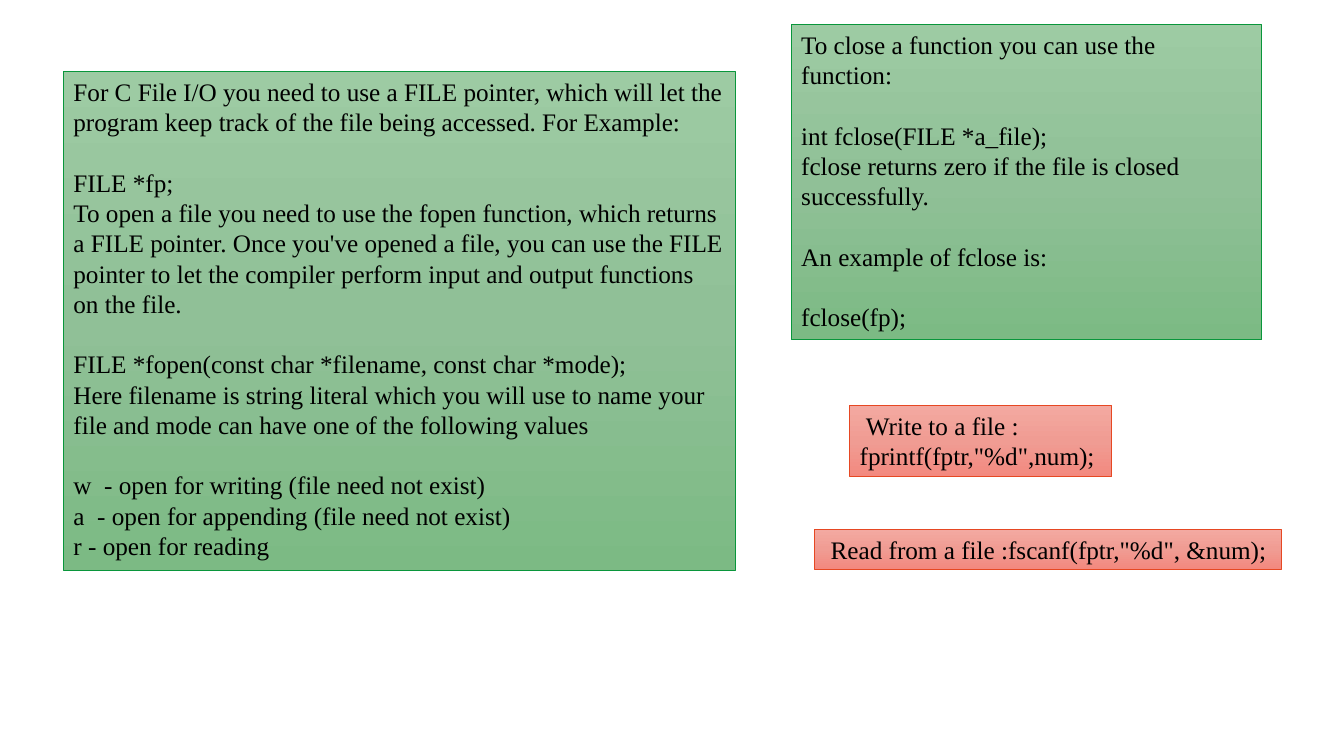
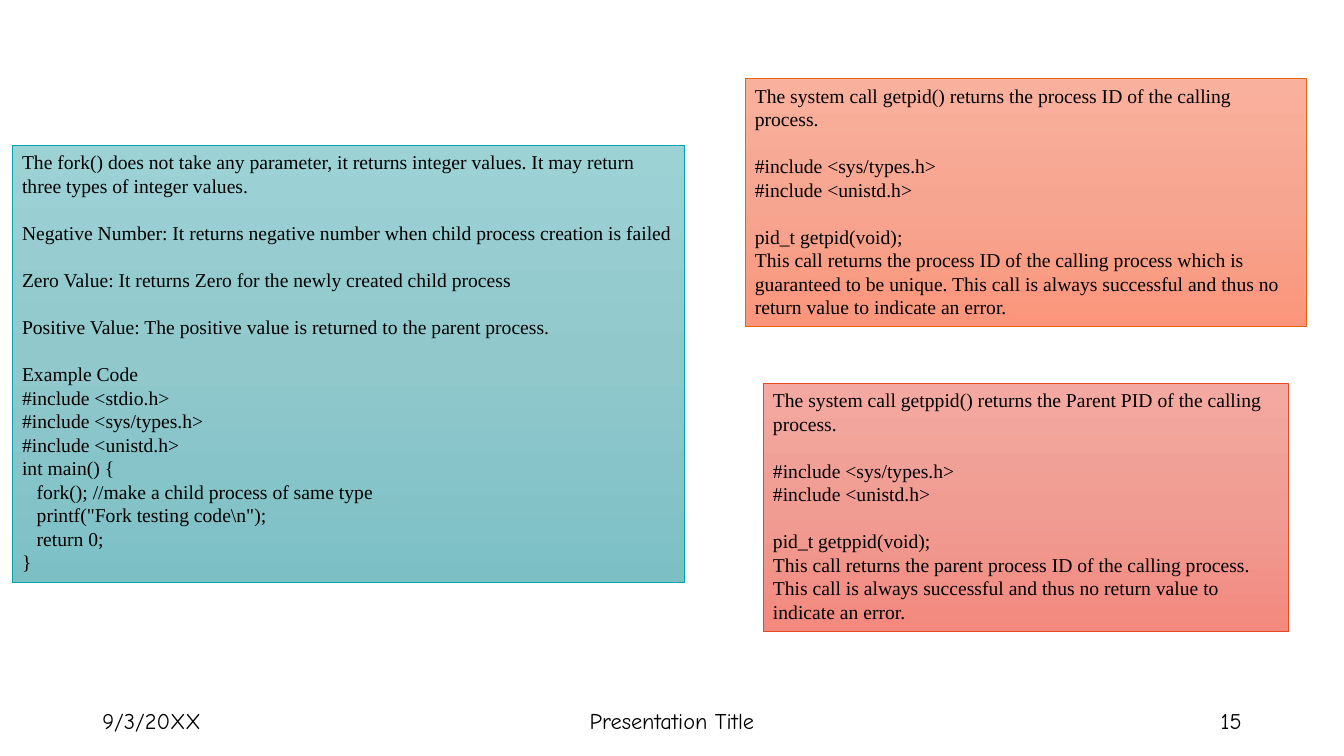
"""Build two slides of C notes: file input/output and process system calls."""
from copy import deepcopy
from dataclasses import dataclass

from pptx import Presentation
from pptx.dml.color import RGBColor
from pptx.enum.shapes import MSO_SHAPE
from pptx.enum.text import MSO_ANCHOR, MSO_AUTO_SIZE, PP_ALIGN
from pptx.oxml.ns import qn
from pptx.slide import Slide
from pptx.text.text import TextFrame
from pptx.util import Emu, Inches, Pt

WIDTH, HEIGHT = Inches(13.333), Inches(7.5)
COLS, ROWS = 160, 90
BODY_FONT, FOOTER_FONT = "Times New Roman", "Comic Neue"
FOOTER_SIZE = 16
LEADING = 1.2
SPACE = 0.25
COLORS = {
    "text": "000000",
    "green_top": "9DCBA3", "green_mid": "90C097", "green_end": "7CBA84", "green_line": "09963B",
    "red_top": "F3A9A1", "red_mid": "F09C93", "red_end": "F3897F", "red_line": "E64823",
    "teal_top": "9DD2D5", "teal_mid": "90C8CC", "teal_end": "7CC0C5", "teal_line": "00A5AB",
    "orange_top": "F9B19E", "orange_mid": "F6A590", "orange_end": "FB967C", "orange_line": "E4650E",
}


@dataclass(frozen=True)
class Area:
    col: float
    row: float
    cols: float
    rows: float

    def box(self) -> tuple[Emu, Emu, Emu, Emu]:
        return (Emu(int(self.col * WIDTH / COLS)), Emu(int(self.row * HEIGHT / ROWS)),
                Emu(int(self.cols * WIDTH / COLS)), Emu(int(self.rows * HEIGHT / ROWS)))


@dataclass(frozen=True)
class Panel:
    area: Area
    theme: str
    size: int
    text: str
    wrap: bool = True


@dataclass(frozen=True)
class Footer:
    area: Area
    text: str
    align: PP_ALIGN


def rgb(name: str) -> RGBColor:
    return RGBColor.from_string(COLORS[name])


def write_lines(tf: TextFrame, text: str, size: int) -> None:
    line_height = Pt(LEADING * size)
    p, gap = tf.paragraphs[0], False
    for i, line in enumerate(text.strip("\n").split("\n")):
        if not line:
            gap = True
            continue
        if i:
            p = tf.add_paragraph()
        words = line.lstrip()
        p.text = words
        p.alignment = PP_ALIGN.LEFT
        p.line_spacing = line_height
        p.font.name, p.font.size = BODY_FONT, Pt(size)
        p.font.color.rgb = rgb("text")
        if gap:
            p.space_before = line_height
        indent = len(line) - len(words)
        if indent:
            pPr = p._p.get_or_add_pPr()
            pPr.set("marL", str(Pt(indent * SPACE * size)))
            pPr.set("indent", "0")
        gap = False


def add_panel(s: Slide, panel: Panel) -> None:
    sp = s.shapes.add_shape(MSO_SHAPE.RECTANGLE, *panel.area.box())
    sp.shadow.inherit = False
    sp.fill.gradient()
    sp.fill.gradient_angle = 270
    stops = sp._element.spPr.find(".//" + qn("a:gsLst"))
    stops.insert(1, deepcopy(stops[0]))
    for stop, position, part in zip(sp.fill.gradient_stops, (0, 0.5, 1), ("top", "mid", "end")):
        stop.position = position
        stop.color.rgb = rgb(f"{panel.theme}_{part}")
    sp.line.color.rgb = rgb(f"{panel.theme}_line")
    sp.line.width = Pt(0.5)
    tf = sp.text_frame
    tf.word_wrap = panel.wrap
    tf.auto_size = MSO_AUTO_SIZE.SHAPE_TO_FIT_TEXT
    tf.vertical_anchor = MSO_ANCHOR.TOP
    write_lines(tf, panel.text, panel.size)


def add_footer(s: Slide, footer: Footer) -> None:
    tf = s.shapes.add_textbox(*footer.area.box()).text_frame
    tf.word_wrap = True
    tf.vertical_anchor = MSO_ANCHOR.MIDDLE
    p = tf.paragraphs[0]
    p.text, p.alignment = footer.text, footer.align
    p.font.name, p.font.size = FOOTER_FONT, Pt(FOOTER_SIZE)
    p.font.color.rgb = rgb("text")


def add_slide(prs: Presentation, panels: list[Panel], footers: list[Footer]) -> None:
    s = prs.slides.add_slide(prs.slide_layouts[6])
    for footer in footers:
        add_footer(s, footer)
    for panel in panels:
        add_panel(s, panel)


def pid_text(call: str, owner: str, result: str, details: str) -> str:
    return f"""
The system call {call}() returns the {owner} of the calling process.

#include <sys/types.h>
#include <unistd.h>

pid_t {call}(void);
This call returns the {result} of the calling process{details} This call is always successful and thus no return value to indicate an error.
"""


OPEN_TEXT = """
For C File I/O you need to use a FILE pointer, which will let the program keep track of the file being accessed. For Example:

FILE *fp;
To open a file you need to use the fopen function, which returns a FILE pointer. Once you've opened a file, you can use the FILE pointer to let the compiler perform input and output functions on the file.

FILE *fopen(const char *filename, const char *mode);
Here filename is string literal which you will use to name your file and mode can have one of the following values

w  - open for writing (file need not exist)
a  - open for appending (file need not exist)
r - open for reading
"""

CLOSE_TEXT = """
To close a function you can use the function:

int fclose(FILE *a_file);
fclose returns zero if the file is closed successfully.

An example of fclose is:

fclose(fp);
"""

WRITE_TEXT = """
 Write to a file :
fprintf(fptr,"%d",num);
"""

READ_TEXT = ' Read from a file :fscanf(fptr,"%d", &num);'

FORK_TEXT = r"""
The fork() does not take any parameter, it returns integer values. It may return three types of integer values.

Negative Number: It returns negative number when child process creation is failed

Zero Value: It returns Zero for the newly created child process

Positive Value: The positive value is returned to the parent process.

Example Code
#include <stdio.h>
#include <sys/types.h>
#include <unistd.h>
int main() {
   fork(); //make a child process of same type
   printf("Fork testing code\n");
   return 0;
}
"""

GETPID_TEXT = pid_text("getpid", "process ID", "process ID", " which is guaranteed to be unique.")
GETPPID_TEXT = pid_text("getppid", "Parent PID", "parent process ID", ".")

FILE_PANELS = [
    Panel(Area(7.56, 8.52, 80, 59.4), "green", 18, OPEN_TEXT),
    Panel(Area(94.2, 2.88, 56, 37.56), "green", 18, CLOSE_TEXT),
    Panel(Area(101.16, 48.24, 31.2, 8.52), "red", 18, WRITE_TEXT, wrap=False),
    Panel(Area(96.96, 63, 55.56, 4.8), "red", 18, READ_TEXT, wrap=False),
]
PROCESS_PANELS = [
    Panel(Area(1.44, 17.28, 80, 52.08), "teal", 14, FORK_TEXT),
    Panel(Area(88.68, 9.36, 66.84, 29.52), "orange", 14, GETPID_TEXT),
    Panel(Area(90.84, 45.6, 62.52, 29.52), "red", 14, GETPPID_TEXT),
]
FOOTERS = [
    Footer(Area(11, 83.4, 36, 4.8), "9/3/20XX", PP_ALIGN.LEFT),
    Footer(Area(53, 83.4, 54, 4.8), "Presentation Title", PP_ALIGN.CENTER),
    Footer(Area(113, 83.4, 36, 4.8), "15", PP_ALIGN.RIGHT),
]


def main() -> None:
    prs = Presentation()
    prs.slide_width, prs.slide_height = WIDTH, HEIGHT
    add_slide(prs, FILE_PANELS, [])
    add_slide(prs, PROCESS_PANELS, FOOTERS)
    prs.save("out.pptx")


main()
